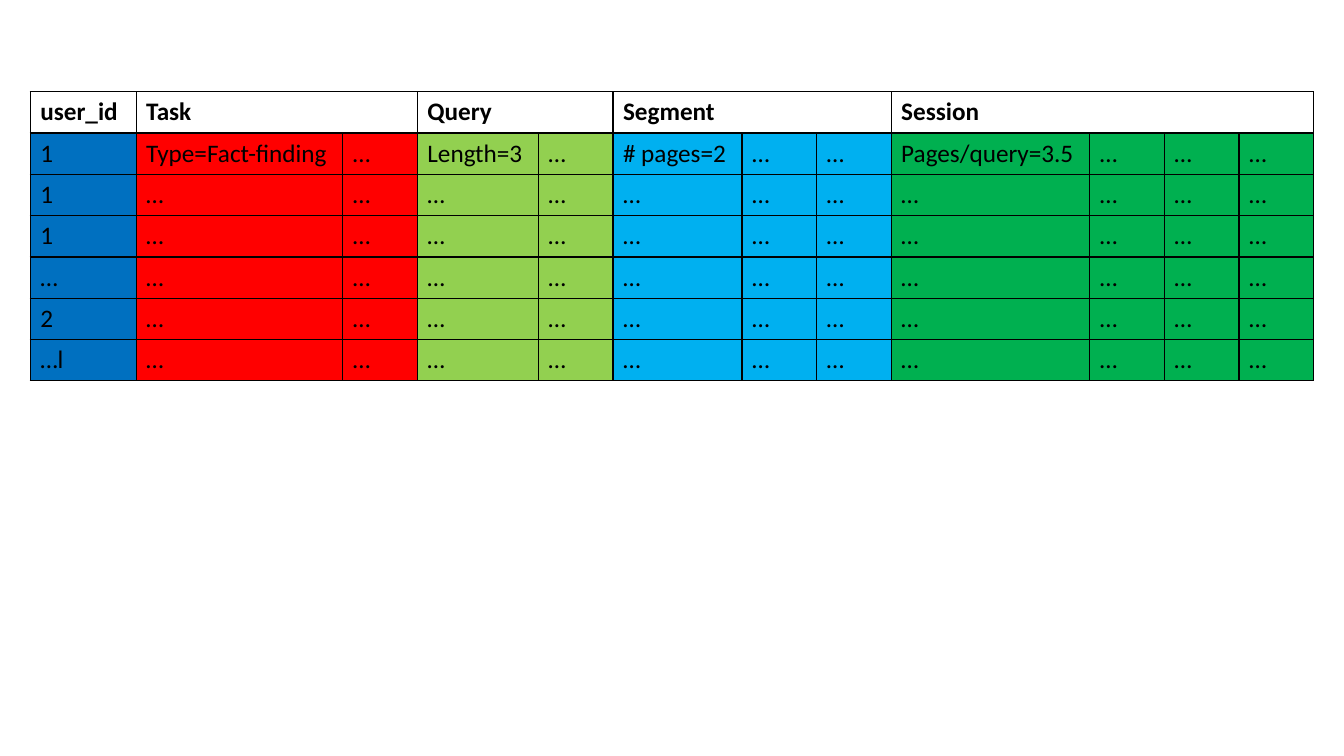
from collections import namedtuple

from lxml.etree import SubElement
from pptx import Presentation
from pptx.dml.color import RGBColor as Color
from pptx.oxml.ns import qn
from pptx.util import Inches, Pt

Theme = namedtuple("Theme", "font size ink border user task query segment session")
theme = Theme("Calibri", 18, "000000", 1, "0070C0", "FF0000", "92D050", "00B0F0", "00B050")

Group = namedtuple("Group", "title example width columns fill")
groups = [
    Group("user_id", "1", 1.05, 1, theme.user),
    Group("Task", "Type=Fact-finding", 2.05, 2, theme.task),
    Group("Query", "Length=3", 1.2, 2, theme.query),
    Group("Segment", "# pages=2", 1.28, 3, theme.segment),
    Group("Session", "Pages/query=3.5", 1.97, 4, theme.session),
]
user_ids = ["1", "1", "1", "…", "2", "…l"]
LEFT, TOP, ROW_HEIGHT, NARROW = 0.3, 0.91, 0.41, 0.74


def add_borders(cell):
    properties = cell._tc.get_or_add_tcPr()
    for position, side in enumerate(("a:lnL", "a:lnR", "a:lnT", "a:lnB")):
        line = properties.makeelement(qn(side), {"w": str(Pt(theme.border))})
        SubElement(SubElement(line, qn("a:solidFill")), qn("a:srgbClr"), val=theme.ink)
        properties.insert(position, line)


def write_cell(cell, text, fill=None):
    cell.text = text
    font = cell.text_frame.paragraphs[0].font
    font.name, font.size, font.bold = theme.font, Pt(theme.size), fill is None
    font.color.rgb = Color.from_string(theme.ink)
    if fill:
        cell.fill.solid()
        cell.fill.fore_color.rgb = Color.from_string(fill)
    else:
        cell.fill.background()


presentation = Presentation()
presentation.slide_width, presentation.slide_height = Inches(13.33), Inches(7.5)
slide = presentation.slides.add_slide(presentation.slide_layouts[6])

widths = [width for group in groups
          for width in [group.width] + [NARROW] * (group.columns - 1)]
row_count = len(user_ids) + 1
table = slide.shapes.add_table(
    row_count, len(widths), Inches(LEFT), Inches(TOP),
    Inches(sum(widths)), Inches(ROW_HEIGHT * row_count)).table
table.first_row = table.horz_banding = False
for column, width in zip(table.columns, widths):
    column.width = Inches(width)
for row in table.rows:
    row.height = Inches(ROW_HEIGHT)

start = 0
for group in groups:
    end = start + group.columns
    for column in range(start, end):
        write_cell(table.cell(0, column), group.title if column == start else "")
        for row, user_id in enumerate(user_ids, 1):
            if group is groups[0]:
                text = user_id
            elif row == 1 and column == start:
                text = group.example
            else:
                text = "…"
            write_cell(table.cell(row, column), text, group.fill)
    if group.columns > 1:
        table.cell(0, start).merge(table.cell(0, end - 1))
    start = end

for cell in table.iter_cells():
    add_borders(cell)

presentation.save("out.pptx")
